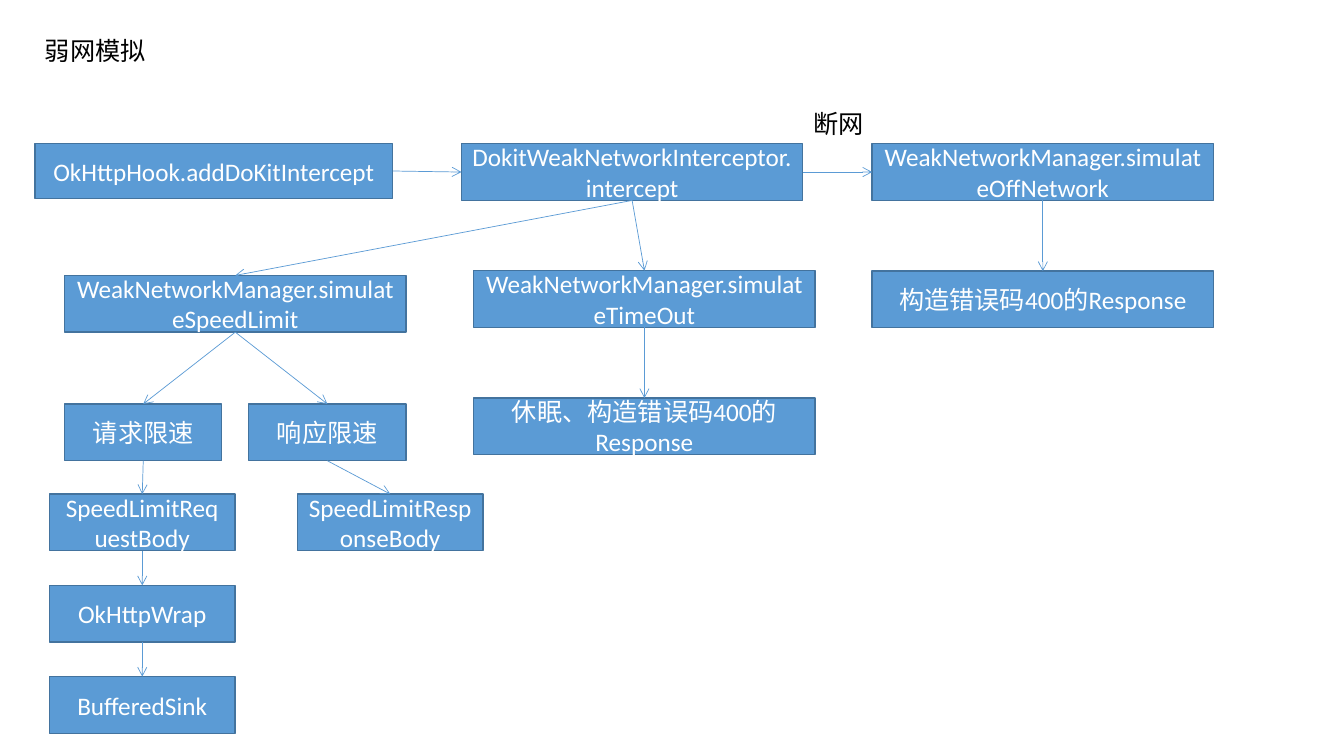
from lxml import etree
from pptx import Presentation
from pptx.dml.color import RGBColor
from pptx.enum import shapes, text
from pptx.oxml import ns
from pptx.util import Cm, Pt

HUES = {"fill": "5B9BD5", "edge": "43739E", "ink": "000000", "pale": "FFFFFF"}
TOP, LEFT, BASE, RIGHT = range(4)  # connection sites of a rectangle
WIDE, TALL = 8.6, 1.43
HALF, SLIM = 3.96, 4.67


def tint(name):
    return RGBColor.from_string(HUES[name])


def write(shape, words, hue="ink", align=text.PP_ALIGN.LEFT,
          anchor=text.MSO_ANCHOR.TOP, wrap=False, grow=True, size=18):
    frame = shape.text_frame
    frame.text = words
    frame.word_wrap = wrap
    frame.vertical_anchor = anchor
    frame.auto_size = (text.MSO_AUTO_SIZE.SHAPE_TO_FIT_TEXT if grow
                       else text.MSO_AUTO_SIZE.NONE)
    para = frame.paragraphs[0]
    para.alignment = align
    font = para.runs[0].font
    font.size, font.name = Pt(size), "Calibri"
    font.color.rgb = tint(hue)


def node(slide, words, x, y, w=WIDE, h=TALL):
    shape = slide.shapes.add_shape(shapes.MSO_SHAPE.RECTANGLE,
                                   Cm(x), Cm(y), Cm(w), Cm(h))
    shape.shadow.inherit = False
    shape.fill.solid()
    shape.fill.fore_color.rgb = tint("fill")
    shape.line.color.rgb = tint("edge")
    shape.line.width = Pt(1)
    write(shape, words, hue="pale", align=text.PP_ALIGN.CENTER,
          anchor=text.MSO_ANCHOR.MIDDLE, wrap=True, grow=False)
    return shape


def link(slide, start, end, out=BASE, into=TOP):
    """Join two nodes with an arrow between the given sites."""
    line = slide.shapes.add_connector(shapes.MSO_CONNECTOR.STRAIGHT, 0, 0, 0, 0)
    line.begin_connect(start, out)
    line.end_connect(end, into)
    line.line.color.rgb = tint("fill")
    line.line.width = Pt(0.5)
    etree.SubElement(line.line._get_or_add_ln(), ns.qn("a:tailEnd"), type="arrow")
    etree.SubElement(line._element.spPr, ns.qn("a:effectLst"))


def chain(slide, labels, x, y, w=WIDE, step=3.21):
    """Stack nodes downwards, link each to the next, return the first."""
    nodes = [node(slide, words, x, y + i * step, w)
             for i, words in enumerate(labels)]
    for start, end in zip(nodes, nodes[1:]):
        link(slide, start, end)
    return nodes[0]


def title(slide, x, y, w, h):
    head = slide.shapes.title
    head.left, head.top, head.width, head.height = Cm(x), Cm(y), Cm(w), Cm(h)
    write(head, "弱网模拟")


def entry(slide, x, y):
    """Draw the hook and the interceptor; return the interceptor."""
    hook = node(slide, "OkHttpHook.addDoKitIntercept", x, y, 9.02, 1.38)
    core = node(slide, "DokitWeakNetworkInterceptor.intercept", x + 10.75, y)
    link(slide, hook, core, RIGHT, LEFT)
    return core


def offline(slide, core, x, y):
    first = chain(slide, ["WeakNetworkManager.simulateOffNetwork",
                          "构造错误码400的Response"], x, y)
    link(slide, core, first, RIGHT, LEFT)
    label = slide.shapes.add_textbox(Cm(x - 1.74), Cm(y - 1.02), Cm(1.78), Cm(1.02))
    write(label, "断网")


def timeout(slide, core, x, y):
    first = chain(slide, ["WeakNetworkManager.simulateTimeOut",
                          "休眠、构造错误码400的Response"], x, y)
    link(slide, core, first)


def limit(slide, core, x, y):
    """Draw the speed limit tree with its request and response branches."""
    root = node(slide, "WeakNetworkManager.simulateSpeedLimit", x, y)
    link(slide, core, root)
    branches = [
        ("请求限速", 0, -0.38, ["SpeedLimitRequestBody", "OkHttpWrap", "BufferedSink"]),
        ("响应限速", WIDE - HALF, 5.87, ["SpeedLimitResponseBody"]),
    ]
    for words, dx, drop, labels in branches:
        fork = node(slide, words, x + dx, y + 3.24, HALF)
        link(slide, root, fork)
        link(slide, fork, chain(slide, labels, x + drop, y + 5.51, SLIM, 2.3))


def main():
    deck = Presentation()
    deck.slide_width, deck.slide_height = Cm(33.87), Cm(19.05)
    slide = deck.slides.add_slide(deck.slide_layouts[5])
    title(slide, 0.88, 0.76, 3.05, 1.02)
    core = entry(slide, 0.88, 3.62)
    offline(slide, core, 21.98, 3.62)
    timeout(slide, core, 11.94, 6.82)
    limit(slide, core, 1.63, 6.94)
    deck.save("out.pptx")


if __name__ == "__main__":
    main()
